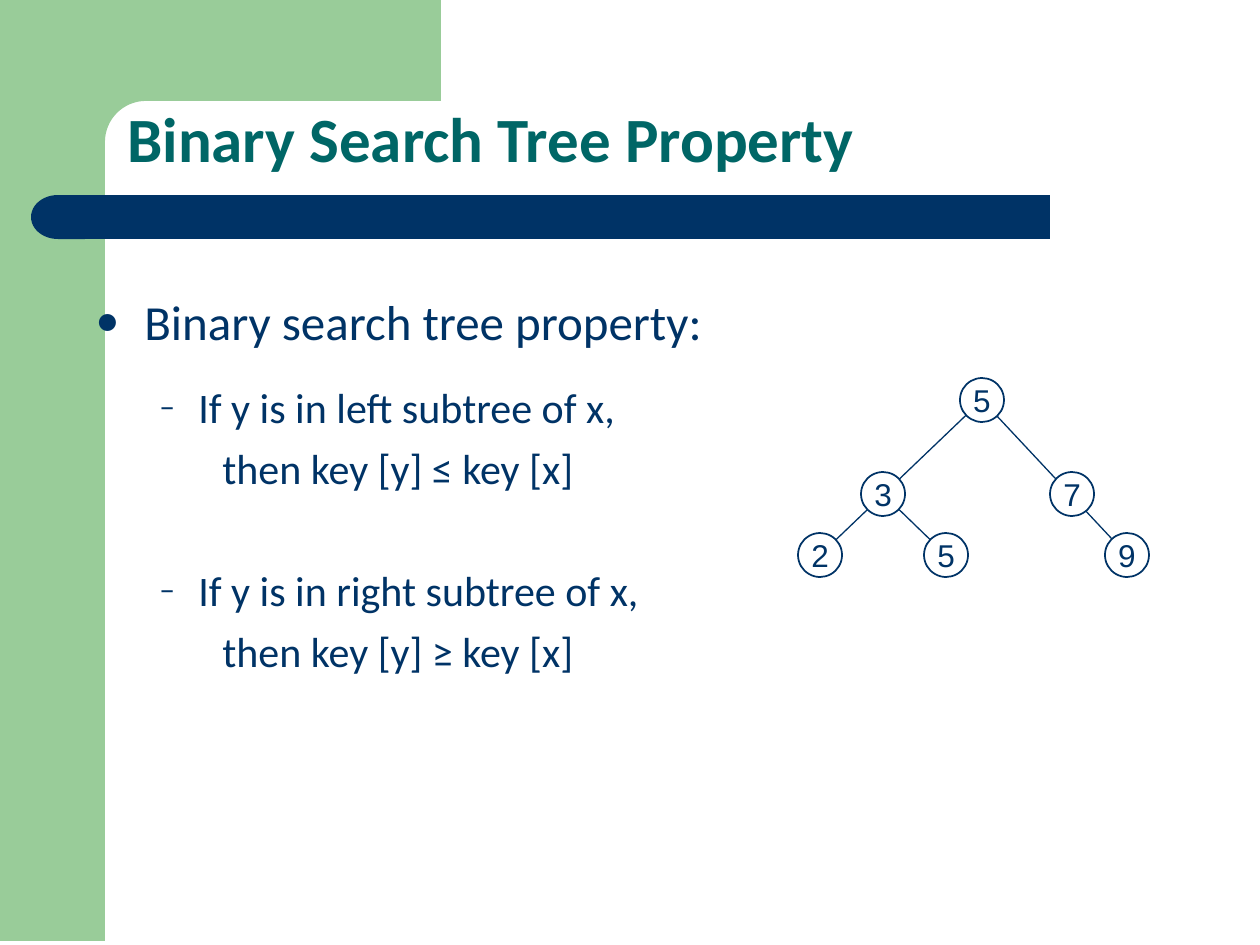
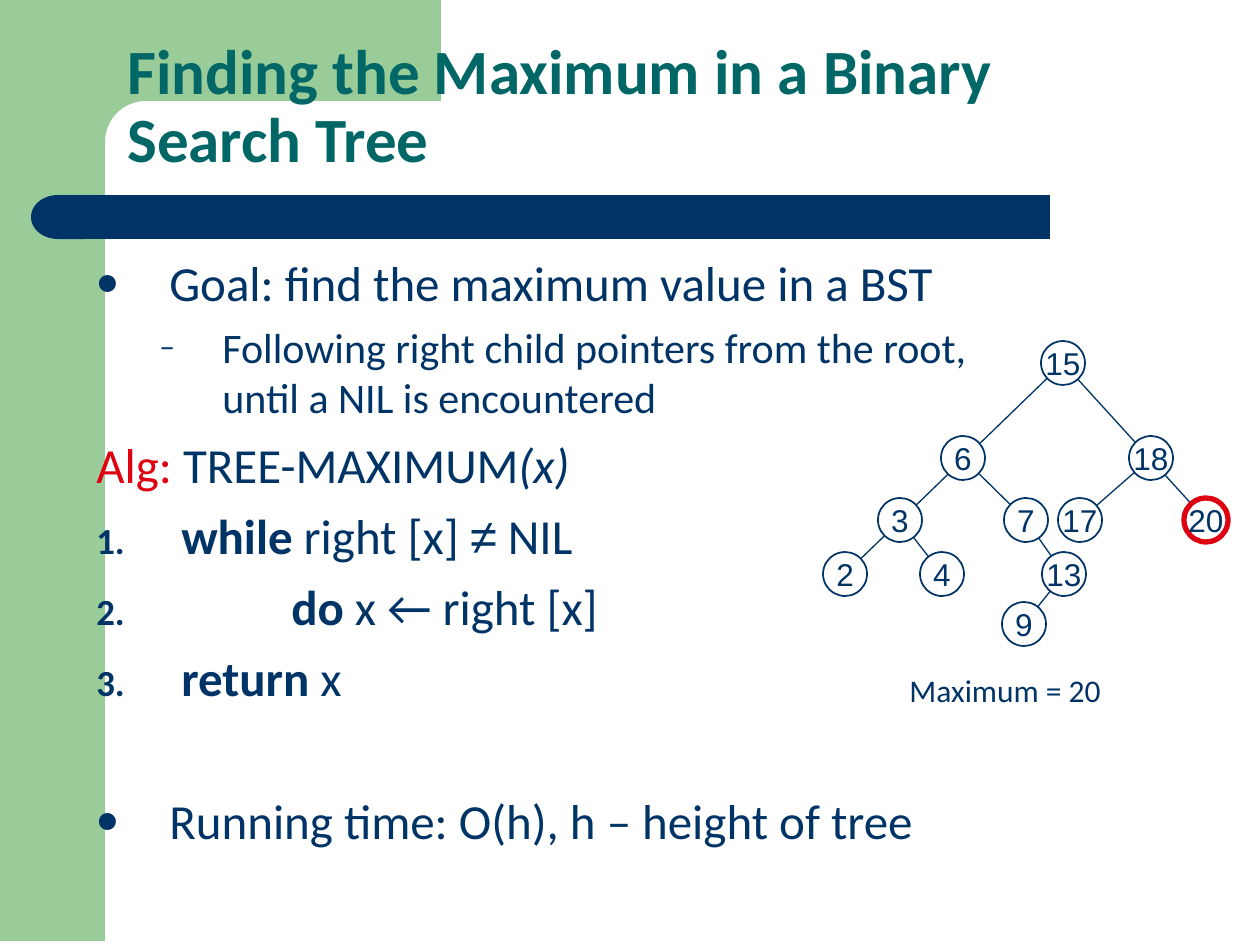
from dataclasses import dataclass
from math import cos, pi, sin

from lxml.etree import SubElement
from pptx import Presentation
from pptx.dml.color import RGBColor
from pptx.enum.shapes import MSO_CONNECTOR, MSO_SHAPE
from pptx.enum.text import MSO_ANCHOR, PP_ALIGN
from pptx.oxml.ns import qn
from pptx.util import Emu, Pt


@dataclass(frozen=True)
class Theme:
    navy: str = "003366"
    green: str = "99CC99"
    teal: str = "006666"
    red: str = "DD0111"
    white: str = "FFFFFF"
    font: str = "Calibri"
    plain: str = "Arial"
    title: int = 36
    main: int = 28
    sub: int = 24
    small: int = 18


THEME = Theme()
NODE = 44  # diameter of a tree node


def px(n):
    return Emu(round(n * 914400 / 126))


def rgb(code):
    return RGBColor.from_string(code)


# --- Text ---

def mark_with(para, mark, hang):
    """Give a paragraph a hanging bullet; the mark "1." counts up."""
    props = para._p.get_or_add_pPr()
    props.set("indent", str(-px(hang)))
    tint = SubElement(props, qn("a:buClr"))
    SubElement(tint, qn("a:srgbClr"), val=THEME.navy)
    SubElement(props, qn("a:buSzPct"), val="75000")
    SubElement(props, qn("a:buFont"), typeface=THEME.font)
    if mark == "1.":
        SubElement(props, qn("a:buAutoNum"), type="arabicPeriod")
    else:
        SubElement(props, qn("a:buChar"), char=mark)


def write(frame, text, size=THEME.main, color=THEME.navy, font=THEME.font,
          bold=False, italic=False, align=PP_ALIGN.LEFT, left=0, hang=0,
          mark=None, before=0, leading=None):
    """Add a paragraph; text is a string or a list of (string, changes)."""
    first = frame.paragraphs[0]
    para = frame.add_paragraph() if first.runs else first
    para._p.get_or_add_pPr().set("marL", str(px(left)))
    if mark:
        mark_with(para, mark, hang)
    para.alignment = align
    para.space_before = Pt(before)
    if leading:
        para.line_spacing = leading
    base = dict(size=size, color=color, font=font, bold=bold, italic=italic)
    for words, change in [(text, {})] if isinstance(text, str) else text:
        look = {**base, **change}
        run = para.add_run()
        run.text = words
        run.font.size = Pt(look["size"])
        run.font.name = look["font"]
        run.font.bold = look["bold"]
        run.font.italic = look["italic"]
        run.font.color.rgb = rgb(look["color"])


def add_box(slide, x, y, w, h, anchor=MSO_ANCHOR.TOP):
    frame = slide.shapes.add_textbox(px(x), px(y), px(w), px(h)).text_frame
    frame.word_wrap = True
    frame.vertical_anchor = anchor
    return frame


def point(frame, text, **form):
    write(frame, text, mark="●", **form)


def dash(frame, text, **form):
    write(frame, text, size=THEME.sub, mark="–", **form)


def step(frame, text, left=85):
    write(frame, text, left=left, hang=left, mark="1.", before=7)


# --- Shapes ---

def paint(shape, fill, line=None, width=1):
    shape.shadow.inherit = False
    shape.fill.solid()
    shape.fill.fore_color.rgb = rgb(fill)
    if line:
        shape.line.color.rgb = rgb(line)
        shape.line.width = Pt(width)
    else:
        shape.line.fill.background()


def add_form(slide, kind, x, y, w, h, fill, **edge):
    shape = slide.shapes.add_shape(kind, px(x), px(y), px(w), px(h))
    paint(shape, fill, **edge)
    return shape


def add_corner(slide):
    """Green block with a round notch of radius 41 cut from its corner."""
    turns = [pi / 2 * i / 16 for i in range(17)]
    curve = [(146 - 41 * sin(t), 142 - 41 * cos(t)) for t in turns]
    spots = [(441, 101), *curve, (105, 158), (63, 158), (63, -4)]
    pen = slide.shapes.build_freeform(px(441), px(-4))
    pen.add_line_segments([(px(x), px(y)) for x, y in spots], close=True)
    paint(pen.convert_to_shape(), THEME.green)


def add_line(slide, start, end):
    ends = [px(n) for n in (*start, *end)]
    line = slide.shapes.add_connector(MSO_CONNECTOR.STRAIGHT, *ends)
    line.line.color.rgb = rgb(THEME.navy)
    line.line.width = Pt(0.75)
    SubElement(line._element.spPr, qn("a:effectLst"))


def add_node(slide, label, x, y, **edge):
    node = add_form(slide, MSO_SHAPE.OVAL, x - NODE / 2, y - NODE / 2,
                    NODE, NODE, THEME.white, **edge)
    frame = node.text_frame
    frame.word_wrap = False
    frame.vertical_anchor = MSO_ANCHOR.MIDDLE
    frame.margin_left = frame.margin_right = 0
    frame.margin_top = frame.margin_bottom = 0
    write(frame, label, size=THEME.small, font=THEME.plain,
          align=PP_ALIGN.CENTER)


def add_tree(slide, nodes, links, chosen=None):
    """Draw links (pairs of node indexes) below the nodes (label, x, y)."""
    for a, b in links:
        add_line(slide, nodes[a][1:], nodes[b][1:])
    for label, x, y in nodes:
        edge = (dict(line=THEME.red, width=3) if label == chosen
                else dict(line=THEME.navy))
        add_node(slide, label, x, y, **edge)


# --- Slides ---

def start(deck, title):
    """New slide with the shared frame, bar and title."""
    slide = deck.slides.add_slide(deck.slide_layouts[6])
    add_form(slide, MSO_SHAPE.RECTANGLE, 0, -4, 105, 945, THEME.green)
    add_corner(slide)
    add_form(slide, MSO_SHAPE.RECTANGLE, 84, 195, 966, 44, THEME.navy)
    cap = add_form(slide, MSO_SHAPE.FLOWCHART_DELAY, 31, 195, 54, 44,
                   THEME.navy)
    cap.rotation = 180
    frame = add_box(slide, 115, 45, 1072, 137, anchor=MSO_ANCHOR.BOTTOM)
    write(frame, title, size=THEME.title, color=THEME.teal, bold=True,
          leading=0.9)
    return slide


def add_rule(deck):
    slide = start(deck, "Binary Search Tree Property")
    body = add_box(slide, 84, 285, 771, 515)
    point(body, "Binary search tree property:", left=48, hang=48)
    for side, sign, gap in (("left", "≤", 18), ("right", "≥", 41)):
        dash(body, f"If y is in {side} subtree of x,", left=102, hang=39,
             before=gap)
        write(body, f"then key [y] {sign} key [x]", size=THEME.sub,
              left=126, before=6)
    nodes = [("5", 982, 400), ("3", 883, 494), ("7", 1072, 494),
             ("2", 820, 555), ("5", 946, 555), ("9", 1127, 555)]
    add_tree(slide, nodes, [(4, 1), (5, 0), (3, 0)])


def add_search(deck):
    slide = start(deck, "Finding the Maximum in a Binary Search Tree")
    nodes = [("15", 1063, 363), ("6", 963, 458), ("18", 1151, 458),
             ("3", 900, 520), ("7", 1026, 520), ("17", 1080, 520),
             ("20", 1206, 520), ("2", 845, 574), ("4", 942, 574),
             ("13", 1064, 574), ("9", 1024, 624)]
    links = [(10, 9), (4, 9), (5, 2), (8, 3), (4, 1), (6, 0), (7, 0)]
    add_tree(slide, nodes, links, chosen="20")
    note = add_box(slide, 897, 665, 244, 50)
    write(note, "Maximum = 20", size=THEME.small)

    body = add_box(slide, 84, 246, 968, 699)
    bold = dict(bold=True)
    point(body, "Goal: find the maximum value in a BST", left=73, hang=73)
    dash(body, "Following right child pointers from the root, "
         "until a NIL is encountered", left=126, hang=63, before=6)
    write(body, [("Alg:", dict(color=THEME.red)), (" TREE-MAXIMUM", {}),
                 ("(x)", dict(italic=True))], before=7)
    step(body, [("while ", bold), ("right [x] ", {}),
                ("≠", dict(font=THEME.plain)), (" NIL", {})])
    step(body, [("do ", bold), ("x ← right [x]", {})], left=195)
    step(body, [("return ", bold), ("x", {})])
    point(body, "Running time: O(h), h – height of tree", left=73, hang=73,
          before=48)


def main():
    deck = Presentation()
    deck.slide_width, deck.slide_height = px(1260), px(945)
    add_rule(deck)
    add_search(deck)
    deck.save("out.pptx")


if __name__ == "__main__":
    main()
